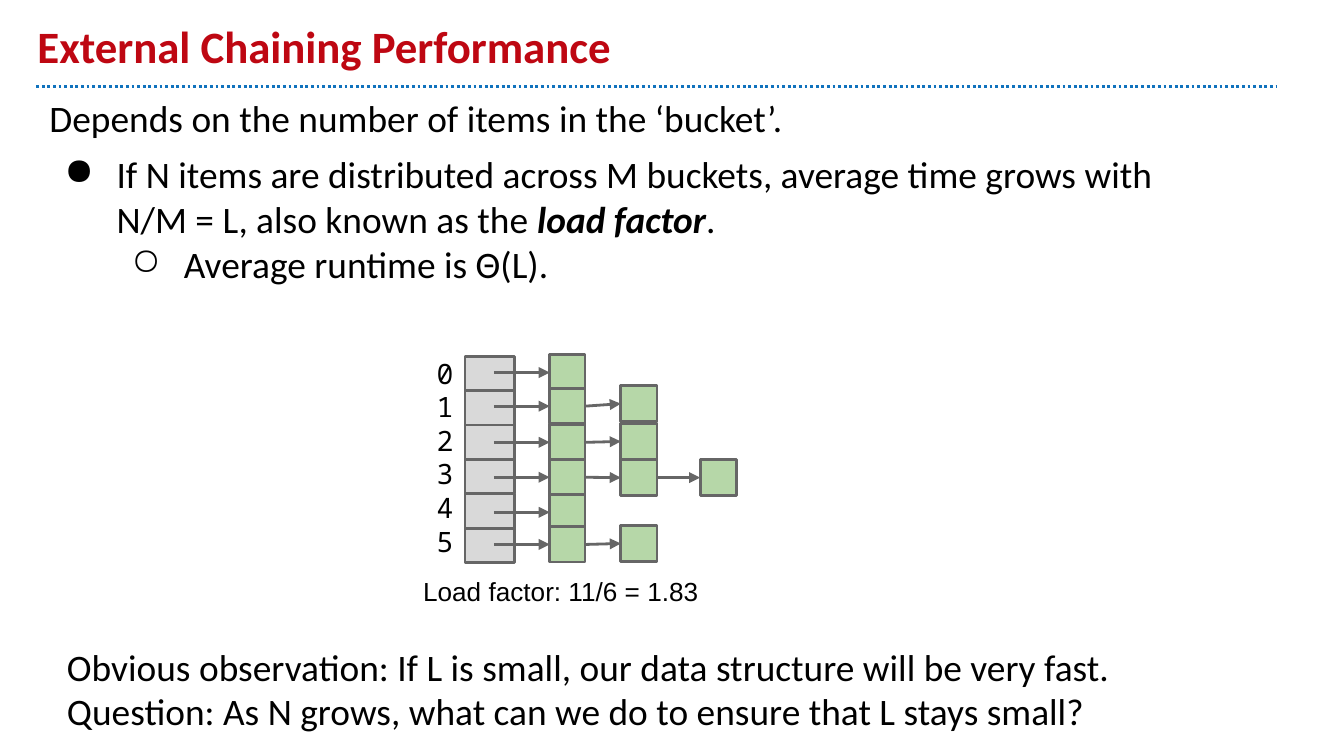
from lxml import etree
from pptx import Presentation
from pptx.dml.color import RGBColor
from pptx.enum.dml import MSO_LINE
from pptx.enum.shapes import MSO_CONNECTOR, MSO_SHAPE
from pptx.enum.text import MSO_ANCHOR, PP_ALIGN
from pptx.oxml.ns import qn
from pptx.util import Pt

LINE, RECT = MSO_CONNECTOR.STRAIGHT, MSO_SHAPE.RECTANGLE
DOT = MSO_LINE.ROUND_DOT
TOP, BOTTOM = MSO_ANCHOR.TOP, MSO_ANCHOR.BOTTOM
LEFT, RIGHT = PP_ALIGN.LEFT, PP_ALIGN.RIGHT
HEX = {"title": "BE0712", "text": "000000", "rule": "1072BD",
       "edge": "666666", "bucket": "D9D9D9", "item": "B6D7A8"}

TITLE = [{"runs": [("External Chaining Performance", "b")]}]
BODY = [
    {"runs": [("Depends on the number of items in the ‘bucket’.", "")]},
    {"runs": [("If N items are distributed across M buckets, average time grows with", ""),
              None,
              ("N/M = L, also known as the ", ""), ("load factor", "bi"), (".", "")],
     "mark": "●", "level": 0, "before": 6},
    {"runs": [("Average runtime is Θ(L).", "")], "mark": "○", "level": 1},
]
LOAD = [{"runs": [("Load factor: 11/6 = 1.83", "")]}]
CLOSE = [
    {"runs": [("Obvious observation: If L is small, our data structure will be very fast.", "")]},
    {"runs": [("Question: As N grows, what can we do to ensure that L stays small?", "")]},
]
CHAINS = [
    [190.1],
    [208.1, 206.6],
    [227.5, 226.8],
    [246.2, 246.2, 246.2],
    [265],
    [282.2, 281.5],
]
INDEX = [{"runs": [(str(i), "")]} for i in range(len(CHAINS))]
COLS = [(294.5, 19), (332.6, 19.4), (375.1, 19.4)]
BUCKET = {"x": 249.1, "y": 190.8, "w": 26.6, "step": 18.45}

deck = Presentation()
deck.slide_width, deck.slide_height = Pt(720), Pt(405)
slide = deck.slides.add_slide(deck.slide_layouts[6])
shapes = slide.shapes


def color(name):
    return RGBColor.from_string(HEX[name])


def bullet(para, mark, level):
    props = para._p.get_or_add_pPr()
    props.set("marL", str(Pt(36 * (level + 1))))
    props.set("indent", str(-Pt(28)))
    tint = etree.SubElement(props, qn("a:buClr"))
    etree.SubElement(tint, qn("a:srgbClr")).set("val", HEX["text"])
    etree.SubElement(props, qn("a:buChar")).set("char", mark)
    para.level = level


def write(paras, area, size, font="Calibri", tone="text", anchor=TOP, align=LEFT):
    frame = shapes.add_textbox(*map(Pt, area)).text_frame
    frame.word_wrap = True
    frame.vertical_anchor = anchor
    frame.margin_left = frame.margin_right = Pt(7.2)
    frame.margin_top = frame.margin_bottom = Pt(7.2)
    for i, item in enumerate(paras):
        para = frame.add_paragraph() if i else frame.paragraphs[0]
        para.alignment = align
        if "mark" in item:
            bullet(para, item["mark"], item["level"])
        para.space_before = Pt(item.get("before", 0))
        para.font.size = Pt(size)
        for part in item["runs"]:
            if part is None:
                para.add_line_break()
                continue
            run = para.add_run()
            run.text, style = part
            run.font.name, run.font.size = font, Pt(size)
            run.font.bold, run.font.italic = "b" in style, "i" in style
            run.font.color.rgb = color(tone)


def box(x, y, w, h, tone):
    cell = shapes.add_shape(RECT, Pt(x), Pt(y), Pt(w), Pt(h))
    cell.shadow.inherit = False
    cell.fill.solid()
    cell.fill.fore_color.rgb = color(tone)
    cell.line.color.rgb = color("edge")
    cell.line.width = Pt(1.5)
    return cell


def line(x1, y1, x2, y2, tone):
    link = shapes.add_connector(LINE, Pt(x1), Pt(y1), Pt(x2), Pt(y2))
    link.line.color.rgb = color(tone)
    link.line.width = Pt(1.5)
    etree.SubElement(link._element.spPr, qn("a:effectLst"))
    return link


def arrow(x1, y1, x2, y2):
    link = line(x1, y1, x2, y2, "edge")
    tail = etree.SubElement(link.line._get_or_add_ln(), qn("a:tailEnd"))
    tail.set("type", "triangle")
    return link


line(19.4, 46.2, 684, 46.2, "rule").line.dash_style = DOT
write(TITLE, (13, 7.2, 648, 38.9), 24, tone="title", anchor=BOTTOM)
write(BODY, (19.4, 43.9, 664.6, 137.5), 20)

for i in range(len(CHAINS)):
    box(BUCKET["x"], BUCKET["y"] + i * BUCKET["step"], BUCKET["w"], BUCKET["step"], "bucket")

for chain in CHAINS:
    last, end = None, BUCKET["x"] + BUCKET["w"] / 2 + 2.2
    for (x, size), y in zip(COLS, chain):
        cell = box(x, y, size, size, "item")
        mid = y + size / 2
        link = arrow(end, mid, x, mid)
        if last:
            link.begin_connect(last, 3)
        link.end_connect(cell, 1)
        last, end = cell, x + size

write(LOAD, (219.6, 301, 280, 31), 14, font="Arial")
write(CLOSE, (28.8, 337.7, 673.2, 60.5), 20)
write(INDEX, (226.8, 183.6, 23, 117.4), 15, font="Noto Sans Mono", align=RIGHT)

deck.save("out.pptx")
